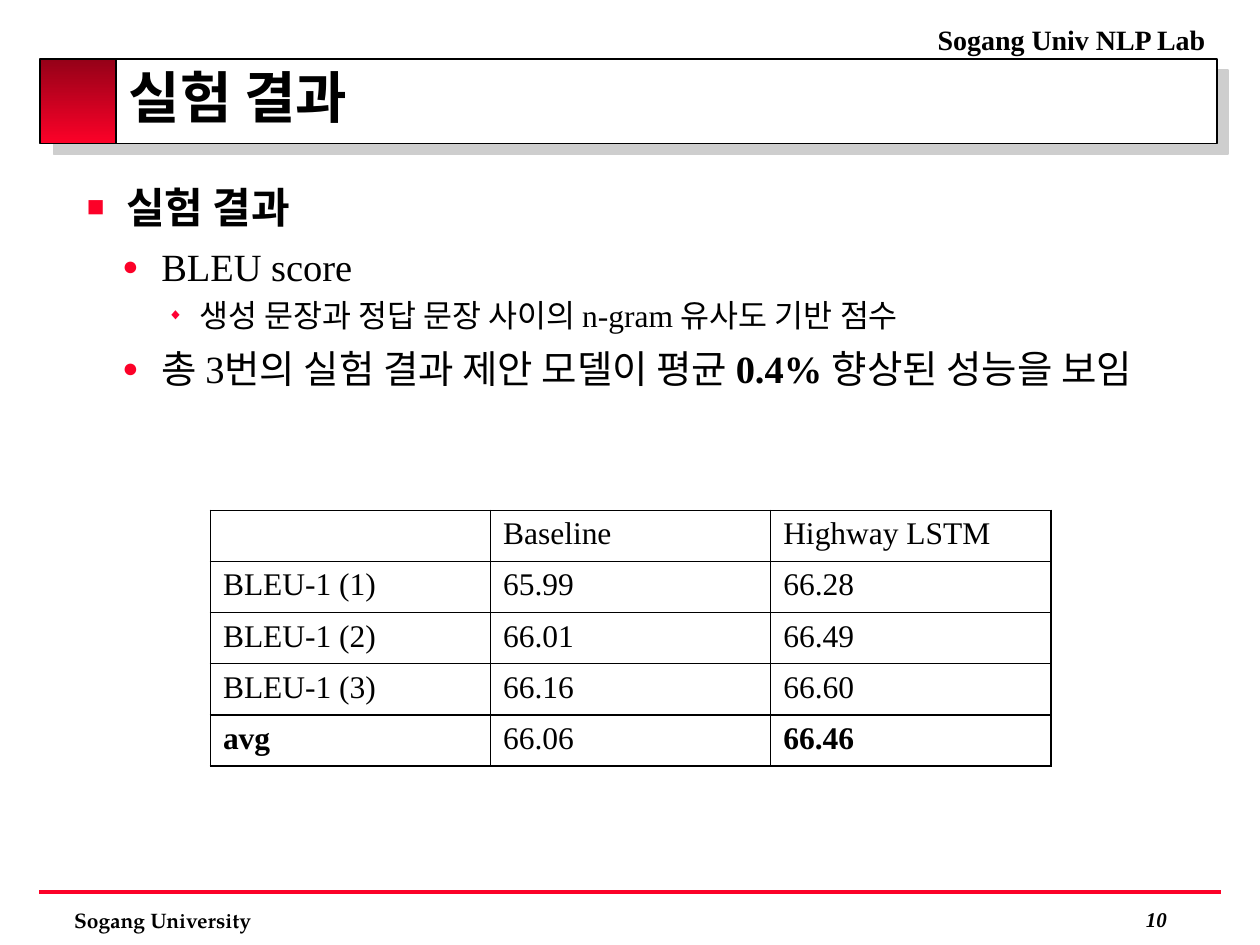
from dataclasses import dataclass
from lxml import etree
from pptx import Presentation
from pptx.dml.color import RGBColor
from pptx.enum.shapes import MSO_CONNECTOR, MSO_SHAPE
from pptx.enum.text import MSO_ANCHOR, MSO_AUTO_SIZE, PP_ALIGN
from pptx.oxml.ns import qn
from pptx.util import Inches, Pt

RECTANGLE = MSO_SHAPE.RECTANGLE
STRAIGHT = MSO_CONNECTOR.STRAIGHT
TOP, MIDDLE = MSO_ANCHOR.TOP, MSO_ANCHOR.MIDDLE
LEFT, RIGHT = PP_ALIGN.LEFT, PP_ALIGN.RIGHT
NO_FIT = MSO_AUTO_SIZE.NONE


@dataclass(frozen=True)
class Theme:
    """Colours, fonts and type sizes of the deck."""
    ink: str = "000000"
    paper: str = "FFFFFF"
    red: str = "FC0128"
    dark_red: str = "950118"
    diamond_red: str = "FF0033"
    shade: str = "CECECE"
    face: str = "Times New Roman"
    footer_face: str = "TeX Gyre Pagella"
    title: int = 32
    levels: tuple = (24, 22, 18)
    header: int = 16
    footer: int = 12
    cell: int = 18


THEME = Theme()
BULLETS = (
    (0.31, -0.31, "■", THEME.red, 70, 7),
    (0.59, -0.31, "●", THEME.red, 70, 6.6),
    (0.89, -0.25, "◆", THEME.diamond_red, 50, 3.6),
)


def child(parent, tag, **attributes):
    """Append a drawing element and return it."""
    return etree.SubElement(parent, qn(tag), {key: str(value) for key, value in attributes.items()})


def add_shadow(effects, color, distance):
    """Add a hard shadow falling to the lower right."""
    shadow = child(effects, "a:outerShdw", blurRad=0, dist=Pt(distance), dir=45 * 60000, algn="tl", rotWithShape=0)
    child(shadow, "a:srgbClr", val=color)


class SlideBuilder:
    """Places styled elements on one slide, on a grid of 100 columns by 75 rows."""

    def __init__(self, deck, theme):
        """Open a title and content slide."""
        self.theme = theme
        self.unit = deck.slide_width / 100
        self.slide = deck.slides.add_slide(deck.slide_layouts[1])
        self.shapes = self.slide.shapes

    def grid(self, *cells):
        """Turn grid units into lengths."""
        return [round(cell * self.unit) for cell in cells]

    def style(self, font, size, bold=None, italic=None, face=None):
        """Set a font in the ink colour."""
        font.name, font.size = face or self.theme.face, Pt(size)
        font.bold, font.italic = bold, italic
        font.color.rgb = RGBColor.from_string(self.theme.ink)

    def rectangle(self, area, colors, shadow=False):
        """Draw an outlined rectangle, filled plainly or from top to bottom."""
        box = self.shapes.add_shape(RECTANGLE, *self.grid(*area))
        box.shadow.inherit = False
        if len(colors) == 1:
            box.fill.solid()
            box.fill.fore_color.rgb = RGBColor.from_string(colors[0])
        else:
            box.fill.gradient()
            box.fill.gradient_angle = 270
            for position, (stop, color) in enumerate(zip(box.fill.gradient_stops, colors)):
                stop.position = position
                stop.color.rgb = RGBColor.from_string(color)
        box.line.color.rgb = RGBColor.from_string(self.theme.ink)
        box.line.width = Pt(1)
        if shadow:
            add_shadow(box._element.spPr.find(qn("a:effectLst")), self.theme.shade, 8.5)

    def rule(self, start, end, color, width):
        """Draw a straight line."""
        line = self.shapes.add_connector(STRAIGHT, *self.grid(*start, *end))
        line.line.color.rgb = RGBColor.from_string(color)
        line.line.width = Pt(width)
        child(line._element.spPr, "a:effectLst")

    def text(self, area, words, size, align=LEFT, anchor=TOP, wrap=True, **looks):
        """Write one bold line of text."""
        frame = self.shapes.add_textbox(*self.grid(*area)).text_frame
        frame.word_wrap, frame.vertical_anchor = wrap, anchor
        para = frame.paragraphs[0]
        para.text, para.alignment = words, align
        self.style(para.font, size, bold=True, **looks)

    def placeholder(self, index, area, anchor):
        """Move a placeholder to the front and return its text frame."""
        box = self.slide.placeholders[index]
        box.left, box.top, box.width, box.height = self.grid(*area)
        self.shapes._spTree.append(box._element)
        frame = box.text_frame
        frame.word_wrap, frame.auto_size, frame.vertical_anchor = True, NO_FIT, anchor
        return frame

    def title(self, area, words):
        """Write the title with a shadow behind its letters."""
        para = self.placeholder(0, area, MIDDLE).paragraphs[0]
        para.alignment, para.line_spacing = LEFT, 0.8
        span = para.add_run()
        span.text = words
        self.style(span.font, self.theme.title, bold=True)
        effects = etree.Element(qn("a:effectLst"))
        add_shadow(effects, self.theme.shade, 3)
        span._r.get_or_add_rPr().find(qn("a:solidFill")).addnext(effects)

    def bullets(self, area, items):
        """Write a list of (level, ((words, bold), ...)) items."""
        frame = self.placeholder(1, area, TOP)
        for number, (level, spans) in enumerate(items):
            para = frame.add_paragraph() if number else frame.paragraphs[0]
            margin, indent, mark, color, percent, gap = BULLETS[level]
            para.level, para.alignment, para.space_before = level, LEFT, Pt(gap)
            properties = para._p.get_or_add_pPr()
            properties.set("marL", str(Inches(margin)))
            properties.set("indent", str(Inches(indent)))
            child(child(properties, "a:buClr"), "a:srgbClr", val=color)
            child(properties, "a:buSzPct", val=percent * 1000)
            child(properties, "a:buFont", typeface="Arial")
            child(properties, "a:buChar", char=mark)
            self.style(para.font, self.theme.levels[level])
            for words, bold in spans:
                span = para.add_run()
                span.text, span.font.bold = words, bold

    def table(self, area, rows, bold_cells):
        """Draw a table with thin borders on every cell."""
        table = self.shapes.add_table(len(rows), len(rows[0]), *self.grid(*area)).table
        table.first_row = table.horz_banding = False
        for row, values in enumerate(rows):
            for column, value in enumerate(values):
                cell = table.cell(row, column)
                para = cell.text_frame.paragraphs[0]
                para.text = value
                self.style(para.font, self.theme.cell, bold=(row, column) in bold_cells)
                properties = cell._tc.get_or_add_tcPr()
                for side in ("a:lnL", "a:lnR", "a:lnT", "a:lnB"):
                    border = child(properties, side, w=Pt(1))
                    child(child(border, "a:solidFill"), "a:srgbClr", val=self.theme.ink)
                cell.fill.solid()
                cell.fill.fore_color.rgb = RGBColor.from_string(self.theme.paper)


deck = Presentation()
deck.slide_width, deck.slide_height = Inches(10), Inches(7.5)
page = SlideBuilder(deck, THEME)

page.rectangle((3.4, 4.7, 93.2, 6.7), [THEME.paper], shadow=True)
page.rectangle((3.2, 4.7, 6, 6.7), [THEME.dark_red, THEME.red])
page.text((4.9, 71.5, 28.6, 3.1), "Sogang University", THEME.footer, face=THEME.footer_face)
page.rule((3.1, 70.8), (96.9, 70.8), THEME.red, 2.25)
page.text((54.7, 1.3, 42.5, 3.7), "Sogang Univ NLP Lab ", THEME.header, align=RIGHT)
page.bullets((5.9, 13.9, 87.7, 57.5), [
    (0, [("실험 결과", True)]),
    (1, [("BLEU score", False)]),
    (2, [("생성 문장과 정답 문장 사이의 n-gram 유사도 기반 점수", False)]),
    (1, [("총 3번의 실험 결과 제안 모델이 평균 ", False), ("0.4% ", True), ("향상된 성능을 보임", False)]),
])
page.title((9.2, 4.4, 87.7, 7.5), "실험 결과")
page.text((85.8, 71.4, 7.8, 3.1), " 10", THEME.footer, align=RIGHT, anchor=MIDDLE, wrap=False, italic=True)
page.table((16.7, 40.5, 66.7, 20.3), [
    ("", "Baseline", "Highway LSTM"),
    ("BLEU-1 (1)", "65.99", "66.28"),
    ("BLEU-1 (2)", "66.01", "66.49"),
    ("BLEU-1 (3)", "66.16", "66.60"),
    ("avg", "66.06", "66.46"),
], {(4, 0), (4, 2)})

deck.save("out.pptx")
